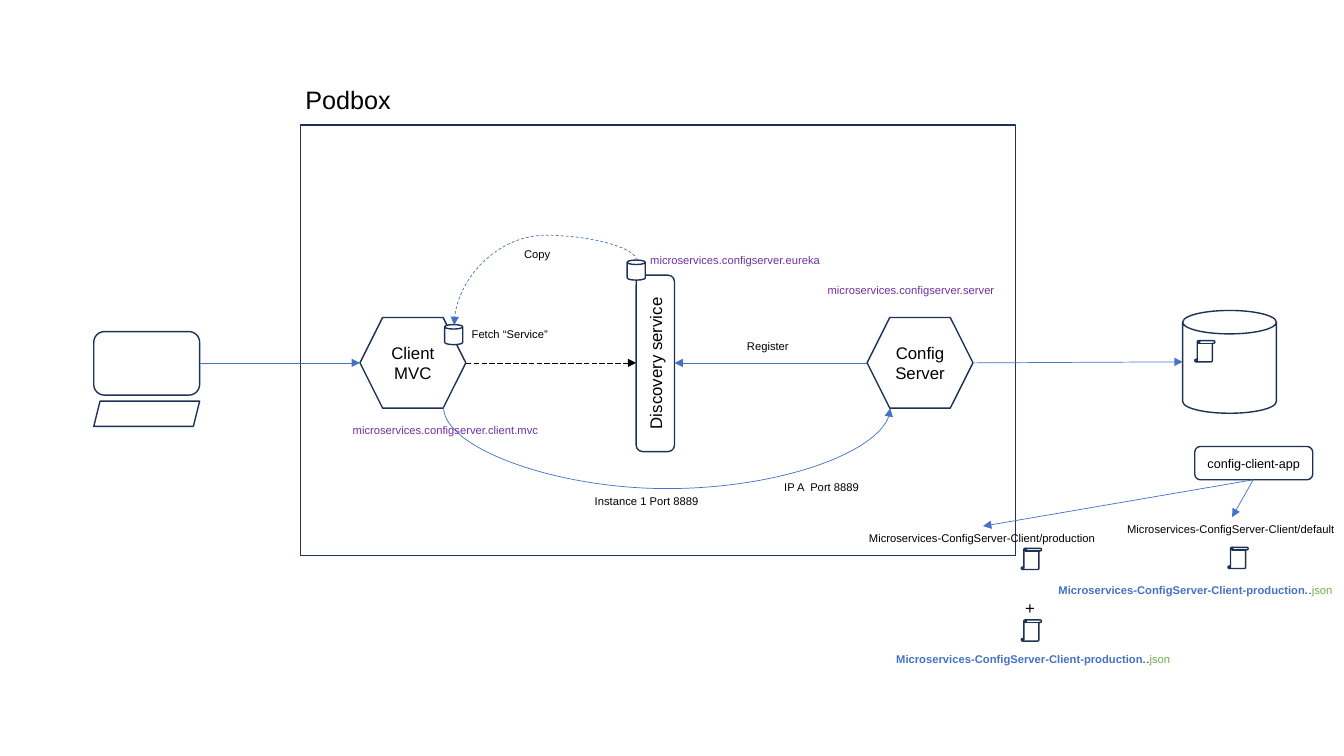
"""Build a one-slide diagram of a config server setup with service discovery."""
from lxml.etree import SubElement
from pptx import Presentation
from pptx.dml.color import RGBColor
from pptx.enum.dml import MSO_LINE
from pptx.enum.shapes import MSO_CONNECTOR as LINK, MSO_SHAPE as FORM
from pptx.enum.text import MSO_ANCHOR, MSO_AUTO_SIZE, PP_ALIGN
from pptx.oxml.ns import qn
from pptx.util import Inches, Pt

NAVY, BLUE, PURPLE, GREEN = "1E3256", "4472C4", "7030A0", "70AD47"
BLACK, WHITE = "000000", "FFFFFF"


def color(hex_code):
    return RGBColor.from_string(hex_code)


def write(paragraph, text, size, ink, bold=False):
    run = paragraph.add_run()
    run.text = text
    run.font.color.rgb = color(ink)
    for key, value in {"name": "Arial", "size": Pt(size), "bold": bold}.items():
        setattr(run.font, key, value)


deck = Presentation()
deck.slide_width, deck.slide_height = Inches(13.33), Inches(7.5)
slide = deck.slides.add_slide(deck.slide_layouts[6])

parts = [
    (FORM.ROUNDED_RECTANGLE, 0.93, 3.29, 1.05, 0.63, None, "", 0),
    (FORM.PARALLELOGRAM, 0.93, 3.98, 1.05, 0.25, None, "", 0),
    (FORM.RECTANGLE, 2.98, 1.24, 7.09, 4.27, None, "", 0),
    (FORM.HEXAGON, 8.6, 3.15, 1.05, 0.9, WHITE, "Config Server", 12),
    (FORM.ROUNDED_RECTANGLE, 6.31, 2.73, 0.38, 1.75, WHITE, "Discovery service", 12),
    (FORM.HEXAGON, 3.57, 3.15, 1.05, 0.9, None, "Client MVC", 12),
    (FORM.CAN, 6.22, 2.58, 0.18, 0.2, WHITE, "", 0),
    (FORM.CAN, 4.41, 3.22, 0.18, 0.2, WHITE, "", 0),
    (FORM.CAN, 11.73, 3.08, 0.93, 1.02, None, "", 0),
    (FORM.ROUNDED_RECTANGLE, 11.85, 4.43, 1.17, 0.33, None, "config-client-app", 9),
]
config_files = [(11.85, 3.38), (10.13, 5.44), (10.13, 6.15), (12.18, 5.43)]
parts += [(FORM.VERTICAL_SCROLL, x, y, 0.2, 0.21, None, "", 0) for x, y in config_files]

for form, x, y, width, height, fill, caption, size in parts:
    part = slide.shapes.add_shape(form, Inches(x), Inches(y), Inches(width), Inches(height))
    part.shadow.inherit = False
    part.line.color.rgb = color(NAVY)
    part.line.width = Pt(1)
    if fill:
        part.fill.solid()
        part.fill.fore_color.rgb = color(fill)
    else:
        part.fill.background()
    if caption:
        frame = part.text_frame
        frame.vertical_anchor = MSO_ANCHOR.MIDDLE
        frame.paragraphs[0].alignment = PP_ALIGN.CENTER
        write(frame.paragraphs[0], caption, size, BLACK)
        if height > width:
            frame._txBody.bodyPr.set("vert", "vert270")
        else:
            for side in ("left", "right", "top", "bottom"):
                setattr(frame, f"margin_{side}", 0)

turned_copy = {"rot": "16200000", "flipH": "1", "flipV": "1"}
turned_call = {"rot": "16200000", "flipH": "1"}
flows = [
    (LINK.STRAIGHT, 8.6, 3.6, 6.69, 3.6, BLUE, None, {}, 0),
    (LINK.STRAIGHT, 4.62, 3.6, 6.31, 3.6, BLACK, MSO_LINE.LONG_DASH, {}, 0),
    (LINK.CURVE, 5.09, 2, 5.73, 3.81, BLUE, MSO_LINE.DASH, turned_copy, -39200),
    (LINK.CURVE, 6.61, 1.83, 6.62, 6.26, BLUE, None, turned_call, 8200000),
    (LINK.STRAIGHT, 9.65, 3.6, 11.73, 3.59, BLUE, None, {}, 0),
    (LINK.STRAIGHT, 12.43, 4.76, 9.75, 5.22, BLUE, None, {}, 0),
    (LINK.STRAIGHT, 12.43, 4.76, 12.22, 5.13, BLUE, None, {}, 0),
    (LINK.STRAIGHT, 1.98, 3.6, 3.57, 3.6, BLUE, None, {}, 0),
]
for kind, x1, y1, x2, y2, ink, dash, turn, bend in flows:
    flow = slide.shapes.add_connector(kind, Inches(x1), Inches(y1), Inches(x2), Inches(y2))
    flow.line.color.rgb = color(ink)
    flow.line.width = Pt(0.5)
    if dash:
        flow.line.dash_style = dash
    properties = flow._element.spPr
    SubElement(flow.line._get_or_add_ln(), qn("a:tailEnd"), type="triangle")
    SubElement(properties, qn("a:effectLst"))
    for key, value in turn.items():
        properties.find(qn("a:xfrm")).set(key, value)
    if bend:
        guides = properties.find(qn("a:prstGeom")).get_or_add_avLst()
        SubElement(guides, qn("a:gd"), name="adj1", fmla=f"val {bend}")

json_name = [("Microservices-ConfigServer-Client-production.", BLUE, True),
             (".", BLACK, False), ("json", GREEN, False)]
labels = [
    (2.93, 0.79, 1.2, 0.4, 18, [("Podbox", BLACK, False)]),
    (10.07, 5.88, 0.3, 0.3, 12, [("+", BLACK, False)]),
    (8.79, 6.42, 2.94, 0.24, 8, json_name),
    (10.4, 5.74, 2.97, 0.24, 8, json_name),
]
small_labels = [
    (7.31, 3.32, 0.62, "Register", BLACK),
    (4.58, 3.2, 0.96, "Fetch “Service”", BLACK),
    (5.1, 2.4, 0.46, "Copy", BLACK),
    (7.68, 4.72, 0.97, "IP A  Port 8889", BLACK),
    (5.8, 4.86, 1.25, "Instance 1 Port 8889", BLACK),
    (6.35, 2.46, 1.91, "microservices.configserver.eureka", PURPLE),
    (8.11, 2.76, 1.88, "microservices.configserver.server", PURPLE),
    (3.4, 4.15, 2.06, "microservices.configserver.client.mvc", PURPLE),
    (8.52, 5.22, 2.47, "Microservices-ConfigServer-Client/production", BLACK),
    (11.08, 5.13, 2.28, "Microservices-ConfigServer-Client/default", BLACK),
]
labels += [(x, y, width, 0.24, 8, [(text, ink, False)])
           for x, y, width, text, ink in small_labels]

for x, y, width, height, size, pieces in labels:
    label = slide.shapes.add_textbox(Inches(x), Inches(y), Inches(width), Inches(height))
    label.text_frame.word_wrap = False
    label.text_frame.auto_size = MSO_AUTO_SIZE.SHAPE_TO_FIT_TEXT
    for text, ink, bold in pieces:
        write(label.text_frame.paragraphs[0], text, size, ink, bold)

deck.save("out.pptx")
